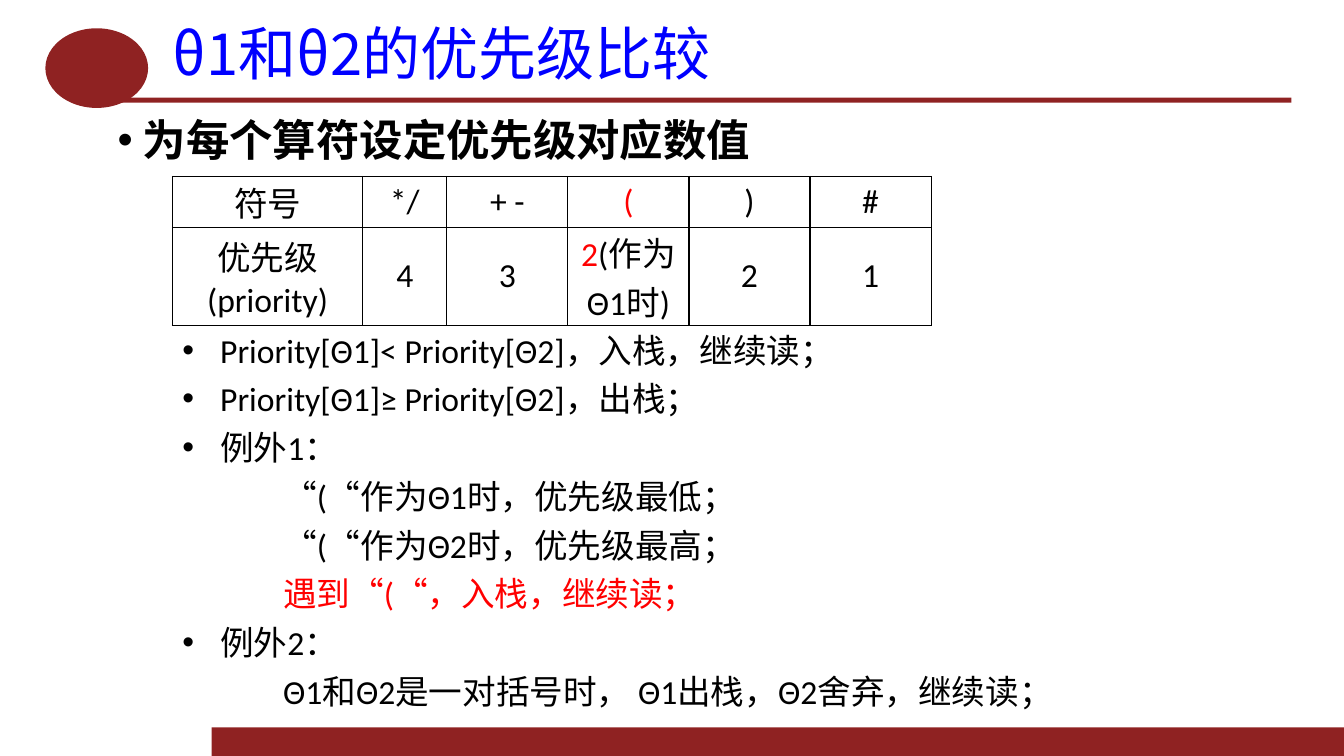
from lxml.etree import SubElement
from pptx import Presentation
from pptx.dml.color import RGBColor
from pptx.enum.shapes import MSO_SHAPE
from pptx.enum.text import MSO_ANCHOR, MSO_AUTO_SIZE, PP_ALIGN
from pptx.oxml.ns import qn
from pptx.util import Pt

COLORS = {"maroon": "8F2222", "title": "0000FF", "text": "000000", "accent": "FF0000"}
LATIN_FONT = "Calibri"
CHINESE_FONT = "Noto Sans CJK SC"

# accented start of the cell, rest of the cell
PRIORITY_ROWS = [
    [("", "符号"), ("", "*/"), ("", "+ -"), ("(", ""), ("", ")"), ("", "#")],
    [("", "优先级(priority)"), ("", "4"), ("", "3"), ("2", "(作为Θ1时)"), ("", "2"), ("", "1")],
]
COLUMN_WIDTHS = [136, 60] + [86.5] * 4
ROW_HEIGHTS = [36.5, 70]

# text, bulleted, color
RULES = [
    ("Priority[Θ1]< Priority[Θ2]，入栈，继续读；", True, "text"),
    ("Priority[Θ1]≥ Priority[Θ2]，出栈；", True, "text"),
    ("例外1：", True, "text"),
    ("\t“(“作为Θ1时，优先级最低；", False, "text"),
    ("\t“(“作为Θ2时，优先级最高；", False, "text"),
    ("\t遇到“(“，入栈，继续读；", False, "accent"),
    ("例外2：", True, "text"),
    ("\tΘ1和Θ2是一对括号时， Θ1出栈，Θ2舍弃，继续读；", False, "text"),
]


def rgb(name):
    return RGBColor.from_string(COLORS[name])


def add_text(paragraph, text, size=24, color="text", bold=False, font=LATIN_FONT, align=None):
    run = paragraph.add_run()
    run.text = text
    run.font.size = Pt(size)
    run.font.bold = bold
    run.font.color.rgb = rgb(color)
    run.font.name = font
    SubElement(run.font._element, qn("a:ea"), typeface=CHINESE_FONT)
    if align is not None:
        paragraph.alignment = align


def add_bullet(paragraph, indent):
    properties = paragraph._p.get_or_add_pPr()
    properties.set("marL", str(Pt(indent)))
    properties.set("indent", str(-Pt(indent)))
    SubElement(properties, qn("a:buFont"), typeface="Arial")
    SubElement(properties, qn("a:buChar"), char="•")


def add_tab_stop(paragraph, position):
    tabs = SubElement(paragraph._p.get_or_add_pPr(), qn("a:tabLst"))
    SubElement(tabs, qn("a:tab"), pos=str(Pt(position)), algn="l")


def place(shape, left, top, width, height):
    shape.left, shape.top = Pt(left), Pt(top)
    shape.width, shape.height = Pt(width), Pt(height)


def add_decoration(slide, kind, left, top, width, height):
    shape = slide.shapes.add_shape(kind, Pt(left), Pt(top), Pt(width), Pt(height))
    shape.shadow.inherit = False
    shape.fill.solid()
    shape.fill.fore_color.rgb = rgb("maroon")
    shape.line.fill.background()


def fill_title(title):
    place(title, 116.3, 15.1, 806, 51.1)
    frame = title.text_frame
    frame.auto_size = MSO_AUTO_SIZE.NONE
    frame.vertical_anchor = MSO_ANCHOR.MIDDLE
    paragraph = frame.paragraphs[0]
    paragraph.line_spacing = 0.9
    add_text(paragraph, "θ1和θ2的优先级比较", size=41.4, color="title",
             font=CHINESE_FONT, align=PP_ALIGN.JUSTIFY)


def fill_body(body):
    place(body, 76.8, 81.4, 845.5, 383)
    frame = body.text_frame
    frame.auto_size = MSO_AUTO_SIZE.NONE
    paragraph = frame.paragraphs[0]
    paragraph.line_spacing = 0.9
    paragraph.space_before = paragraph.space_after = Pt(7.7)
    add_text(paragraph, "为每个算符设定优先级对应数值", size=31, bold=True,
             align=PP_ALIGN.JUSTIFY)
    add_bullet(paragraph, 18)


def add_borders(cell):
    properties = cell._tc.get_or_add_tcPr()
    for position, side in enumerate(("lnL", "lnR", "lnT", "lnB")):
        line = properties.makeelement(qn(f"a:{side}"), {"w": str(Pt(1))})
        fill = SubElement(line, qn("a:solidFill"))
        SubElement(fill, qn("a:srgbClr"), val=COLORS["text"])
        properties.insert(position, line)


def add_priority_table(slide):
    table = slide.shapes.add_table(
        len(ROW_HEIGHTS), len(COLUMN_WIDTHS), Pt(123.2), Pt(126),
        Pt(sum(COLUMN_WIDTHS)), Pt(sum(ROW_HEIGHTS))).table
    table.first_row = table.horz_banding = False
    for column, width in zip(table.columns, COLUMN_WIDTHS):
        column.width = Pt(width)
    for row, height, entries in zip(table.rows, ROW_HEIGHTS, PRIORITY_ROWS):
        row.height = Pt(height)
        for cell, parts in zip(row.cells, entries):
            cell.fill.background()
            cell.vertical_anchor = MSO_ANCHOR.MIDDLE
            cell.margin_left = cell.margin_right = Pt(5)
            cell.margin_top = cell.margin_bottom = 0
            add_borders(cell)
            paragraph = cell.text_frame.paragraphs[0]
            for part, color in zip(parts, ("accent", "text")):
                if part:
                    add_text(paragraph, part, color=color, align=PP_ALIGN.CENTER)


def add_rules(slide):
    box = slide.shapes.add_textbox(Pt(123.2), Pt(231.8), Pt(741.6), Pt(317.5))
    frame = box.text_frame
    frame.word_wrap = True
    for index, (text, bulleted, color) in enumerate(RULES):
        paragraph = frame.add_paragraph() if index else frame.paragraphs[0]
        paragraph.space_before = Pt(6)
        add_text(paragraph, text, color=color)
        if bulleted:
            add_bullet(paragraph, 27)
        else:
            add_tab_stop(paragraph, 72)


def main():
    presentation = Presentation()
    presentation.slide_width, presentation.slide_height = Pt(960), Pt(540)
    slide = presentation.slides.add_slide(presentation.slide_layouts[1])
    add_decoration(slide, MSO_SHAPE.RECTANGLE, 151.2, 519.6, 808.8, 20.4)
    add_decoration(slide, MSO_SHAPE.RECTANGLE, 85, 69.8, 837.4, 3.6)
    add_decoration(slide, MSO_SHAPE.OVAL, 32.4, 20.2, 73.4, 56.9)
    fill_title(slide.shapes.title)
    fill_body(slide.placeholders[1])
    add_priority_table(slide)
    add_rules(slide)
    presentation.save("out.pptx")


if __name__ == "__main__":
    main()
